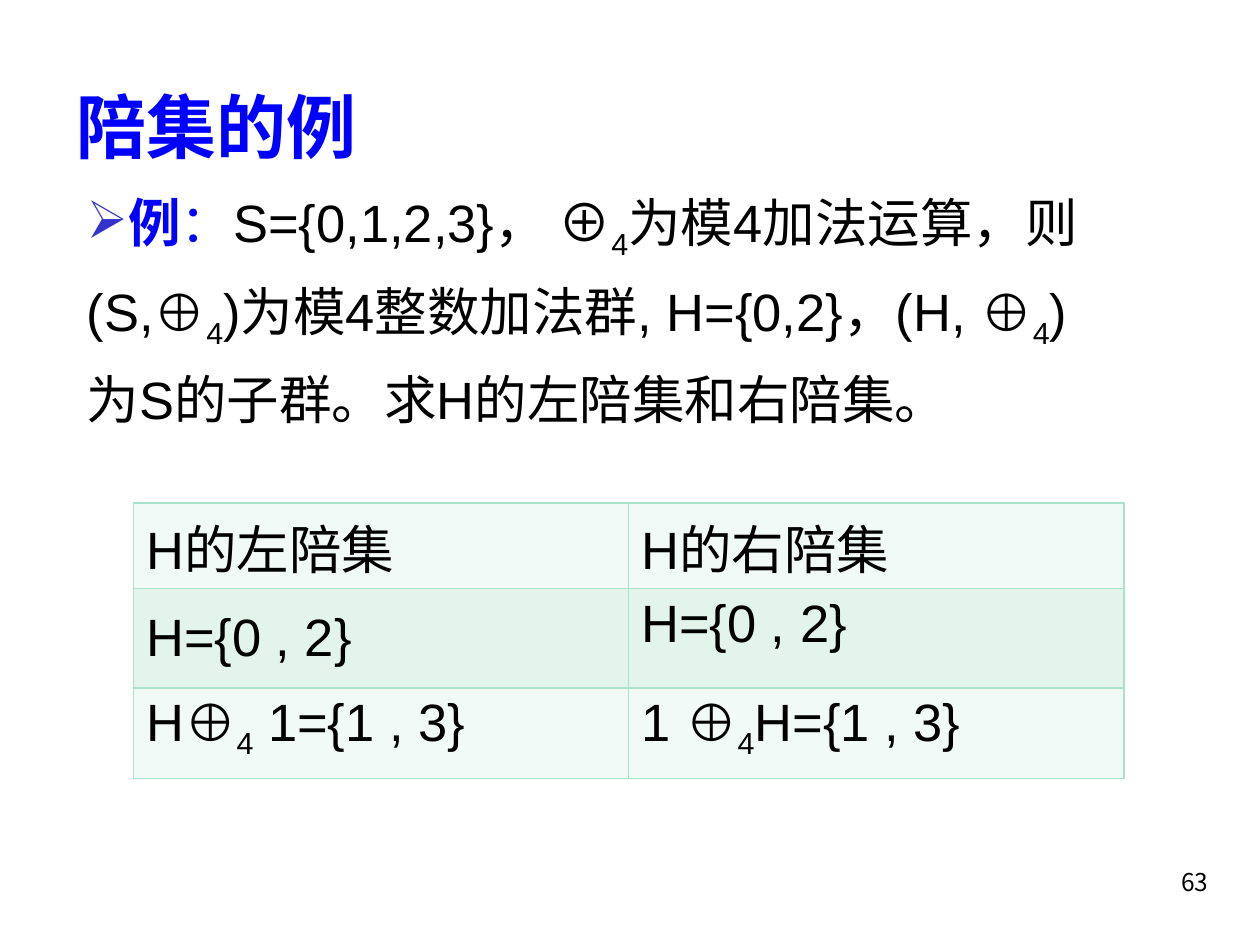
"""Build a slide with an example of left and right cosets."""
import pptx
import pptx.dml.color
import pptx.enum.text
import pptx.oxml
import pptx.oxml.ns
import pptx.util
from pptx.util import Inches

COLORS = {"heading": "0000FF", "bullet": "3333CC", "text": "000000",
          "border": "AAE2CA", "light": "F1FAF6", "dark": "E2F4EC"}
TITLE = "陪集的例"
LABEL = "例"
COLON = "："
EXAMPLE = ("S={0,1,2,3}， ⊕_4为模4加法运算，则(S,⊕_4)为模4整数加法群, "
           "H={0,2}，(H, ⊕_4) 为S的子群。求H的左陪集和右陪集。")
COSETS = [("H的左陪集", "H的右陪集"),
          ("H={0 , 2}", "H={0 , 2}"),
          ("H⊕_4 1={1 , 3}", "1 ⊕_4H={1 , 3}")]
ROW_HEIGHTS = [0.68, 0.79, 0.72]
COLUMN_WIDTH = 3.93
PAGE_NUMBER = "63"


def rgb(name):
    return pptx.dml.color.RGBColor.from_string(COLORS[name])


def style(font, size, name, color, bold=False):
    font.size = pptx.util.Pt(size)
    font.name = name
    font.color.rgb = rgb(color)
    font.bold = bold


def add_runs(paragraph, text):
    """Add text in which an underscore lowers the next character."""
    first, *others = text.split("_")
    pieces = [(first, False)]
    for other in others:
        pieces += [(other[0], True), (other[1:], False)]
    for piece, lowered in pieces:
        run = paragraph.add_run()
        run.text = piece
        style(run.font, 30, "Arial", "text")
        if lowered:
            run._r.get_or_add_rPr().set("baseline", "-25000")


def add_textbox(slide, left, top, width, height, anchor):
    frame = slide.shapes.add_textbox(
        Inches(left), Inches(top), Inches(width), Inches(height)).text_frame
    frame.word_wrap = True
    frame.vertical_anchor = anchor
    return frame


def add_bullet(paragraph):
    namespace = pptx.oxml.ns.nsdecls("a")
    properties = paragraph._p.get_or_add_pPr()
    for xml in (f'<a:buClr {namespace}><a:srgbClr val="{COLORS["bullet"]}"/></a:buClr>',
                f'<a:buChar {namespace} char="➢"/>'):
        properties.append(pptx.oxml.parse_xml(xml))


def add_borders(cell):
    properties = cell._tc.get_or_add_tcPr()
    for index, side in enumerate(("lnL", "lnR", "lnT", "lnB")):
        properties.insert(index, pptx.oxml.parse_xml(
            f'<a:{side} {pptx.oxml.ns.nsdecls("a")} w="12700"><a:solidFill>'
            f'<a:srgbClr val="{COLORS["border"]}"/></a:solidFill></a:{side}>'))


def add_example(slide, anchor):
    frame = add_textbox(slide, 0.59, 1.55, 8.5, 2.28, anchor)
    frame.margin_bottom = Inches(0.42)
    paragraph = frame.paragraphs[0]
    paragraph.line_spacing = 1.25
    add_bullet(paragraph)
    for text, font_name, bold in ((LABEL, "Times New Roman", True), (COLON, "Arial", False)):
        run = paragraph.add_run()
        run.text = text
        style(run.font, 30, font_name, "heading", bold)
    add_runs(paragraph, EXAMPLE)


def add_coset_table(slide):
    columns = len(COSETS[0])
    table = slide.shapes.add_table(
        len(COSETS), columns, Inches(1.06), Inches(3.99),
        Inches(columns * COLUMN_WIDTH), Inches(sum(ROW_HEIGHTS))).table
    table.first_row = False
    table.horz_banding = False
    for column in table.columns:
        column.width = Inches(COLUMN_WIDTH)
    for row_index, texts in enumerate(COSETS):
        table.rows[row_index].height = Inches(ROW_HEIGHTS[row_index])
        for column_index, text in enumerate(texts):
            cell = table.cell(row_index, column_index)
            cell.fill.solid()
            cell.fill.fore_color.rgb = rgb("dark" if row_index % 2 else "light")
            add_borders(cell)
            add_runs(cell.text_frame.paragraphs[0], text)
    table.cell(1, 0).text_frame.paragraphs[0].line_spacing = 1.25


def main():
    presentation = pptx.Presentation()
    presentation.slide_width = Inches(10)
    presentation.slide_height = Inches(7.5)
    slide = presentation.slides.add_slide(presentation.slide_layouts[6])
    anchors = pptx.enum.text.MSO_ANCHOR

    add_example(slide, anchors.BOTTOM)
    add_coset_table(slide)

    number = add_textbox(slide, 7.61, 6.83, 2.08, 0.5, anchors.TOP).paragraphs[0]
    number.text = PAGE_NUMBER
    number.alignment = pptx.enum.text.PP_ALIGN.RIGHT
    style(number.font, 14, "Noto Sans CJK KR", "text")

    title = add_textbox(slide, 0.51, 0.6, 8.5, 0.79, anchors.MIDDLE).paragraphs[0]
    title.text = TITLE
    style(title.font, 40, "Times New Roman", "heading", True)

    presentation.save("out.pptx")


if __name__ == "__main__":
    main()
